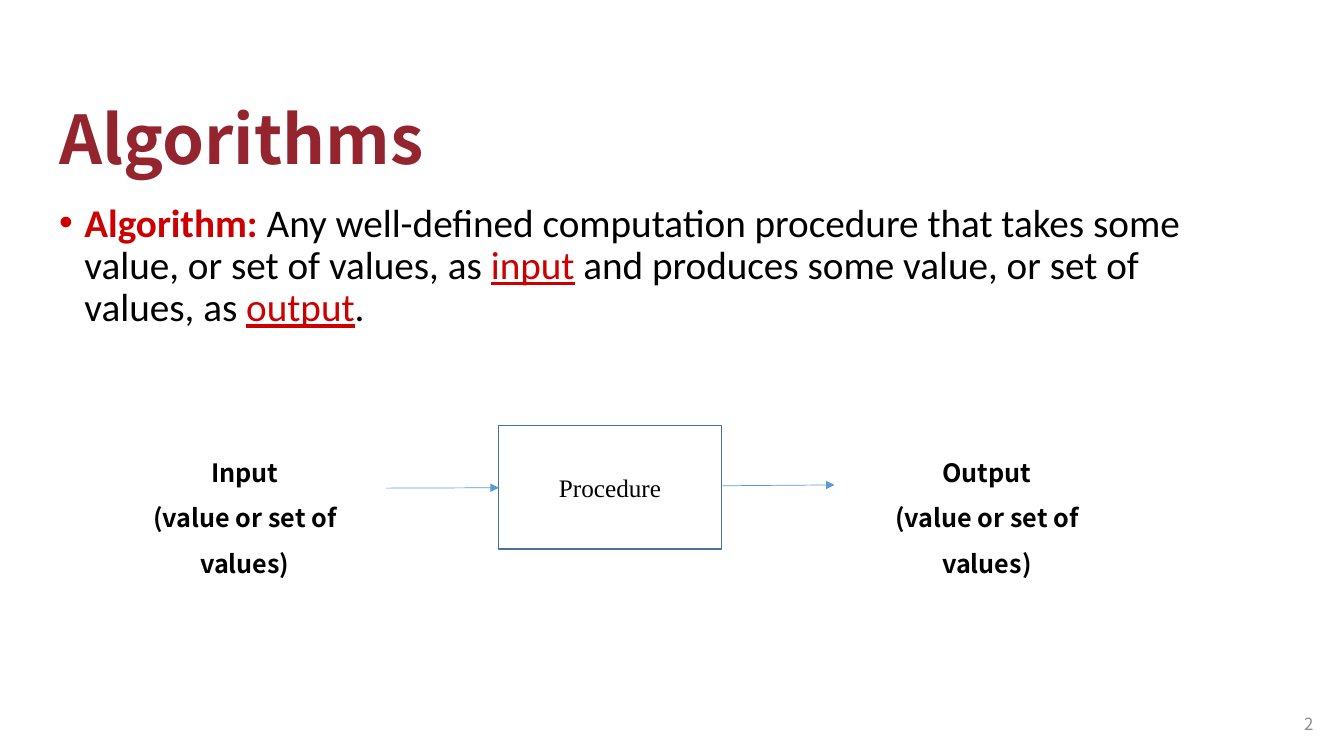
from dataclasses import dataclass

from lxml import etree
from pptx import Presentation
from pptx import util as u
from pptx.dml.color import RGBColor
from pptx.enum import shapes, text
from pptx.oxml import ns


@dataclass(frozen=True)
class Theme:
    heading: str = "94252E"
    accent: str = "CC0000"
    ink: str = "000000"
    muted: str = "8C8C8C"
    border: str = "43739E"
    arrow: str = "5B9BD5"
    sans: str = "Noto Sans CJK SC"
    body: str = "Calibri"
    serif: str = "Times New Roman"
    title_size: int = 48
    body_size: int = 28
    label_size: int = 18
    number_size: int = 12


@dataclass(frozen=True)
class Box:
    left: float
    top: float
    width: float
    height: float

    def lengths(self) -> tuple:
        return tuple(u.Cm(v) for v in (self.left, self.top, self.width, self.height))


@dataclass(frozen=True)
class Label:
    lines: str
    box: Box


@dataclass(frozen=True)
class Arrow:
    start: tuple[float, float]
    end: tuple[float, float]


@dataclass(frozen=True)
class Phrase:
    words: str
    color: str
    bold: bool = False
    underline: bool = False


THEME = Theme()

TITLE_BOX = Box(1.24, 2.24, 21.41, 2.41)
DEFINITION_BOX = Box(1.24, 5, 29.69, 11.02)
PROCEDURE_BOX = Box(12.57, 10.72, 5.61, 3.12)
NUMBER_BOX = Box(31.83, 17.73, 1.52, 1.02)

DEFINITION = [
    Phrase("Algorithm:", THEME.accent, bold=True),
    Phrase(" Any well-defined computation procedure that takes some value,"
           " or set of values, as ", THEME.ink),
    Phrase("input", THEME.accent, underline=True),
    Phrase(" and produces some value, or set of values, as ", THEME.ink),
    Phrase("output", THEME.accent, underline=True),
    Phrase(".", THEME.ink),
]
LABELS = [
    Label("Input\n(value or set of values)", Box(2.46, 11.02, 7.42, 2.41)),
    Label("Output\n(value or set of values)", Box(21.16, 11.02, 7.42, 2.41)),
]
ARROWS = [
    Arrow((9.73, 12.3), (12.57, 12.29)),
    Arrow((18.21, 12.24), (21.03, 12.22)),
]


def style(font, face: str, size: int, color: str, bold: bool = False) -> None:
    font.name, font.size, font.bold = face, u.Pt(size), bold
    font.color.rgb = RGBColor.from_string(color)


def write(shape, words: str, face: str, size: int, color: str, bold: bool = False,
          align=text.PP_ALIGN.LEFT, anchor=text.MSO_ANCHOR.TOP,
          spacing: float = 1.0) -> None:
    frame = shape.text_frame
    frame.text = words
    frame.word_wrap = True
    frame.auto_size = text.MSO_AUTO_SIZE.NONE
    frame.vertical_anchor = anchor
    for paragraph in frame.paragraphs:
        paragraph.alignment = align
        paragraph.line_spacing = spacing
        for run in paragraph.runs:
            style(run.font, face, size, color, bold)


def add_title(slide) -> None:
    title = slide.shapes.title
    title.left, title.top, title.width, title.height = TITLE_BOX.lengths()
    write(title, "Algorithms", THEME.sans, THEME.title_size, THEME.heading,
          bold=True, anchor=text.MSO_ANCHOR.BOTTOM, spacing=0.9)


def add_definition(slide) -> None:
    frame = slide.shapes.add_textbox(*DEFINITION_BOX.lengths()).text_frame
    frame.word_wrap = True
    paragraph = frame.paragraphs[0]
    paragraph.line_spacing = 0.9
    paragraph.space_before = u.Pt(10)
    for phrase in DEFINITION:
        run = paragraph.add_run()
        run.text = phrase.words
        style(run.font, THEME.body, THEME.body_size, phrase.color, phrase.bold)
        run.font.underline = phrase.underline
    # Hanging bullet
    properties = paragraph._p.get_or_add_pPr()
    indent = u.Cm(0.64)
    properties.set("marL", str(indent))
    properties.set("indent", str(-indent))
    etree.SubElement(properties, ns.qn("a:buFont"), typeface="Arial")
    etree.SubElement(properties, ns.qn("a:buChar"), char="•")


def add_procedure(slide) -> None:
    procedure = slide.shapes.add_shape(shapes.MSO_SHAPE.RECTANGLE,
                                       *PROCEDURE_BOX.lengths())
    procedure.shadow.inherit = False
    procedure.fill.background()
    procedure.line.color.rgb = RGBColor.from_string(THEME.border)
    procedure.line.width = u.Pt(1)
    write(procedure, "Procedure", THEME.serif, THEME.label_size, THEME.ink,
          align=text.PP_ALIGN.CENTER, anchor=text.MSO_ANCHOR.MIDDLE)


def add_label(slide, label: Label) -> None:
    write(slide.shapes.add_textbox(*label.box.lengths()), label.lines,
          THEME.sans, THEME.label_size, THEME.ink, bold=True,
          align=text.PP_ALIGN.CENTER, spacing=1.5)


def add_arrow(slide, arrow: Arrow) -> None:
    connector = slide.shapes.add_connector(
        shapes.MSO_CONNECTOR.STRAIGHT,
        *(u.Cm(v) for v in arrow.start + arrow.end))
    connector.line.color.rgb = RGBColor.from_string(THEME.arrow)
    connector.line.width = u.Pt(0.5)
    etree.SubElement(connector.line._get_or_add_ln(), ns.qn("a:tailEnd"),
                     type="triangle")
    etree.SubElement(connector._element.spPr, ns.qn("a:effectLst"))


def add_number(slide) -> None:
    write(slide.shapes.add_textbox(*NUMBER_BOX.lengths()), "2", THEME.sans,
          THEME.number_size, THEME.muted, align=text.PP_ALIGN.RIGHT,
          anchor=text.MSO_ANCHOR.MIDDLE)


def main() -> None:
    deck = Presentation()
    deck.slide_width, deck.slide_height = u.Cm(33.87), u.Cm(19.05)
    slide = deck.slides.add_slide(deck.slide_layouts.get_by_name("Title Only"))

    # Heading and definition
    add_title(slide)
    add_definition(slide)

    # Input, procedure, output diagram
    add_procedure(slide)
    for label in LABELS:
        add_label(slide, label)
    for arrow in ARROWS:
        add_arrow(slide, arrow)

    # Slide number
    add_number(slide)
    deck.save("out.pptx")


if __name__ == "__main__":
    main()
